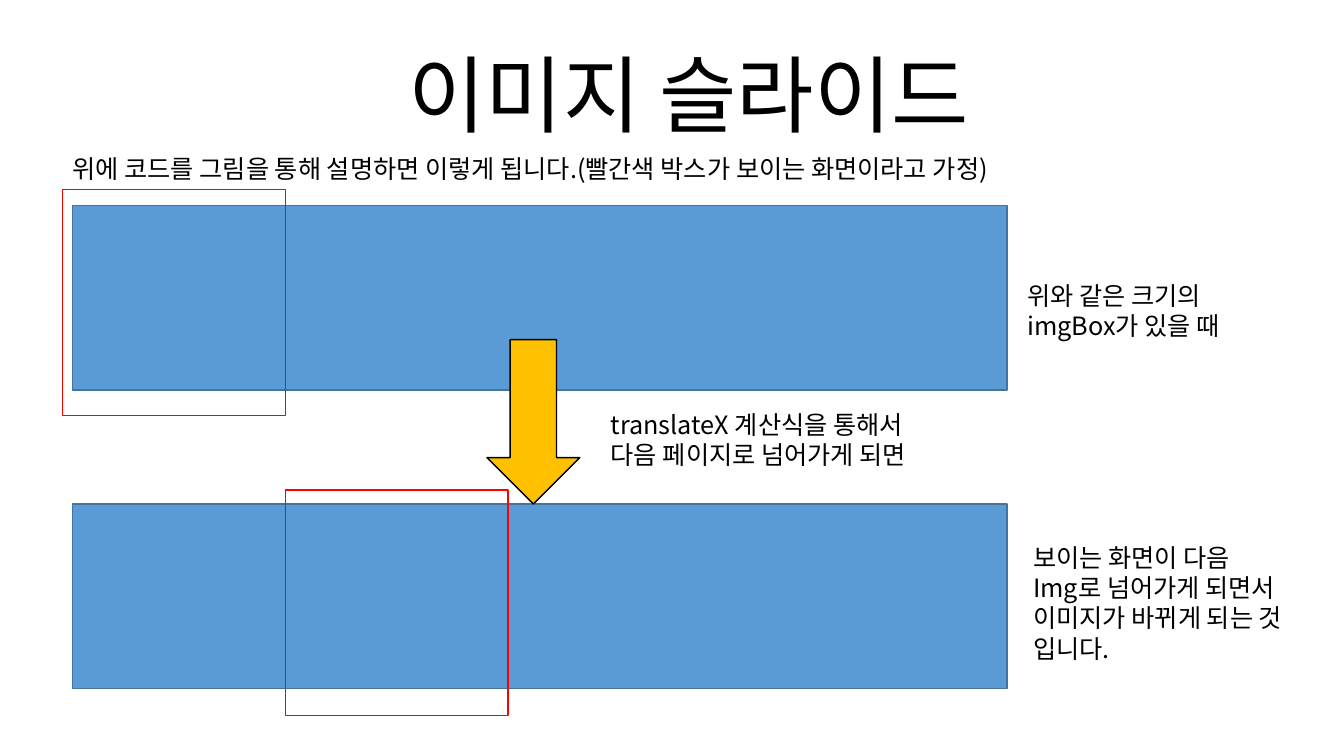
from lxml import etree
from pptx import Presentation
from pptx.dml.color import RGBColor
from pptx.enum.shapes import MSO_SHAPE
from pptx.enum.text import MSO_ANCHOR, MSO_AUTO_SIZE, PP_ALIGN
from pptx.oxml.ns import qn
from pptx.util import Pt

PX = 9144  # 100 px to the inch
RECT, ARROW = MSO_SHAPE.RECTANGLE, MSO_SHAPE.DOWN_ARROW
TOP, BOTTOM = MSO_ANCHOR.TOP, MSO_ANCHOR.BOTTOM
LEFT, CENTER = PP_ALIGN.LEFT, PP_ALIGN.CENTER
GROW, FIXED = MSO_AUTO_SIZE.SHAPE_TO_FIT_TEXT, MSO_AUTO_SIZE.NONE
FONT = "Noto Sans CJK KR"
COLORS = {
    "text": "000000",
    "strip": "5B9BD5",
    "edge": "43739E",
    "frame": "FF0000",
    "arrow": "FFC000",
}


class Board:
    def __init__(self, slide):
        self.slide = slide

    def color(self, name):
        return RGBColor.from_string(COLORS[name])

    def shape(self, kind, box, line, fill=None):
        shape = self.slide.shapes.add_shape(kind, *[n * PX for n in box])
        shape.shadow.inherit = False
        if fill:
            shape.fill.solid()
            shape.fill.fore_color.rgb = self.color(fill)
        else:
            shape.fill.background()
        shape.line.color.rgb = self.color(line)
        shape.line.width = Pt(1)

    def text(self, box, words, size=18, align=LEFT, anchor=TOP, fit=GROW, space=None):
        frame = self.slide.shapes.add_textbox(*[n * PX for n in box]).text_frame
        frame.word_wrap = True
        frame.auto_size = fit
        frame.vertical_anchor = anchor
        frame.text = words
        for para in frame.paragraphs:
            para.alignment = align
            para.line_spacing = space
            for run in para.runs:
                font = run.font
                font.size = Pt(size)
                font.color.rgb = self.color("text")
                font.name = FONT
                # Korean letters take the East Asian typeface
                east = etree.SubElement(run._r.get_or_add_rPr(), qn("a:ea"))
                east.set("typeface", FONT)


def main():
    deck = Presentation()
    deck.slide_width, deck.slide_height = 1333 * PX, 750 * PX
    board = Board(deck.slides.add_slide(deck.slide_layouts[6]))

    # Title and lead
    board.text((183, 40, 1000, 108), "이미지 슬라이드", 60, CENTER, BOTTOM, FIXED, 0.9)
    board.text((62, 147, 1244, 40),
               "위에 코드를 그림을 통해 설명하면 이렇게 됩니다.(빨간색 박스가 보이는 화면이라고 가정)")

    # Image strips, each with the visible frame one step further
    for step, (strip, frame) in enumerate([(204, 188), (500, 486)]):
        board.shape(RECT, (72, strip, 927, 183), "edge", "strip")
        board.shape(RECT, (62 + 221 * step, frame, 221, 224), "frame")

    # Arrow from the first strip to the second
    board.shape(ARROW, (483, 337, 92, 163), "text", "arrow")

    # Notes beside the strips and the arrow
    board.text((1009, 273, 279, 71), "위와 같은 크기의 imgBox가 있을 때")
    board.text((596, 401, 350, 71), "translateX 계산식을 통해서 다음 페이지로 넘어가게 되면")
    board.text((1015, 533, 290, 131),
               "보이는 화면이 다음\nImg로 넘어가게 되면서\n이미지가 바뀌게 되는 것 입니다.")

    deck.save("out.pptx")


if __name__ == "__main__":
    main()
